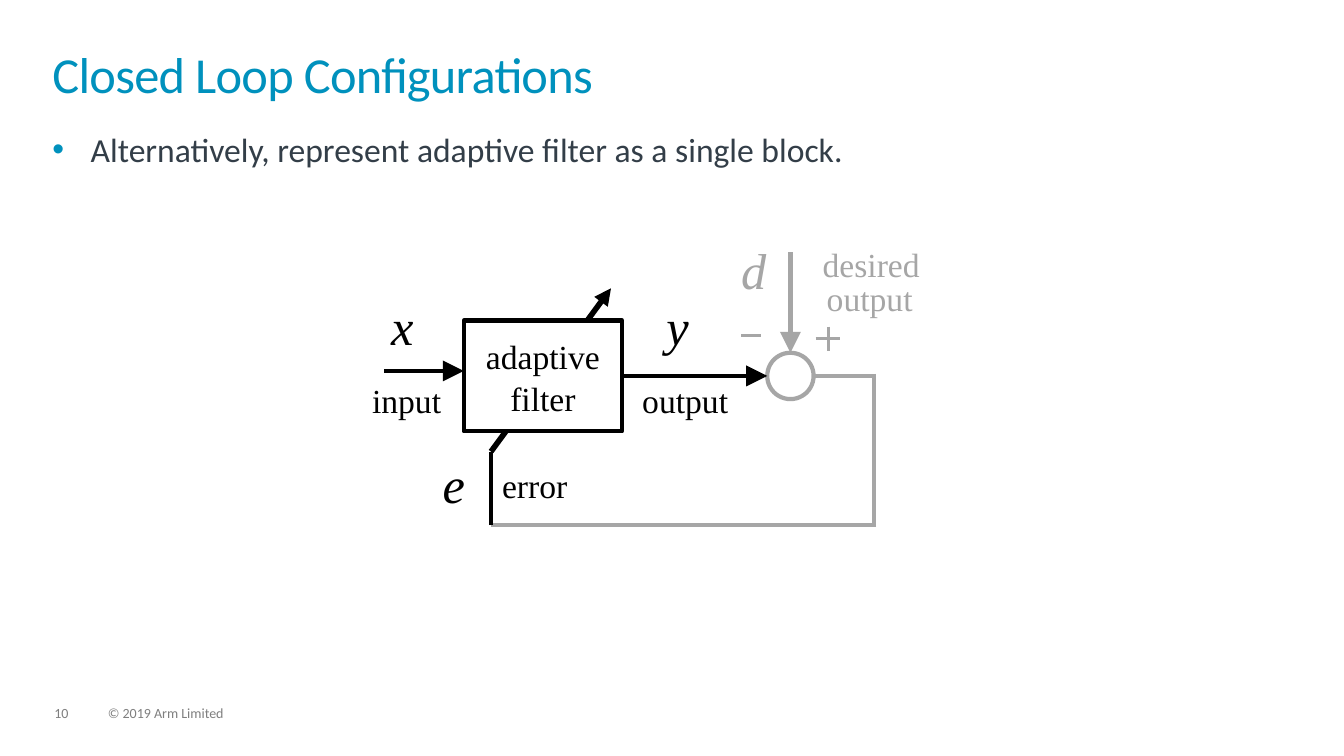
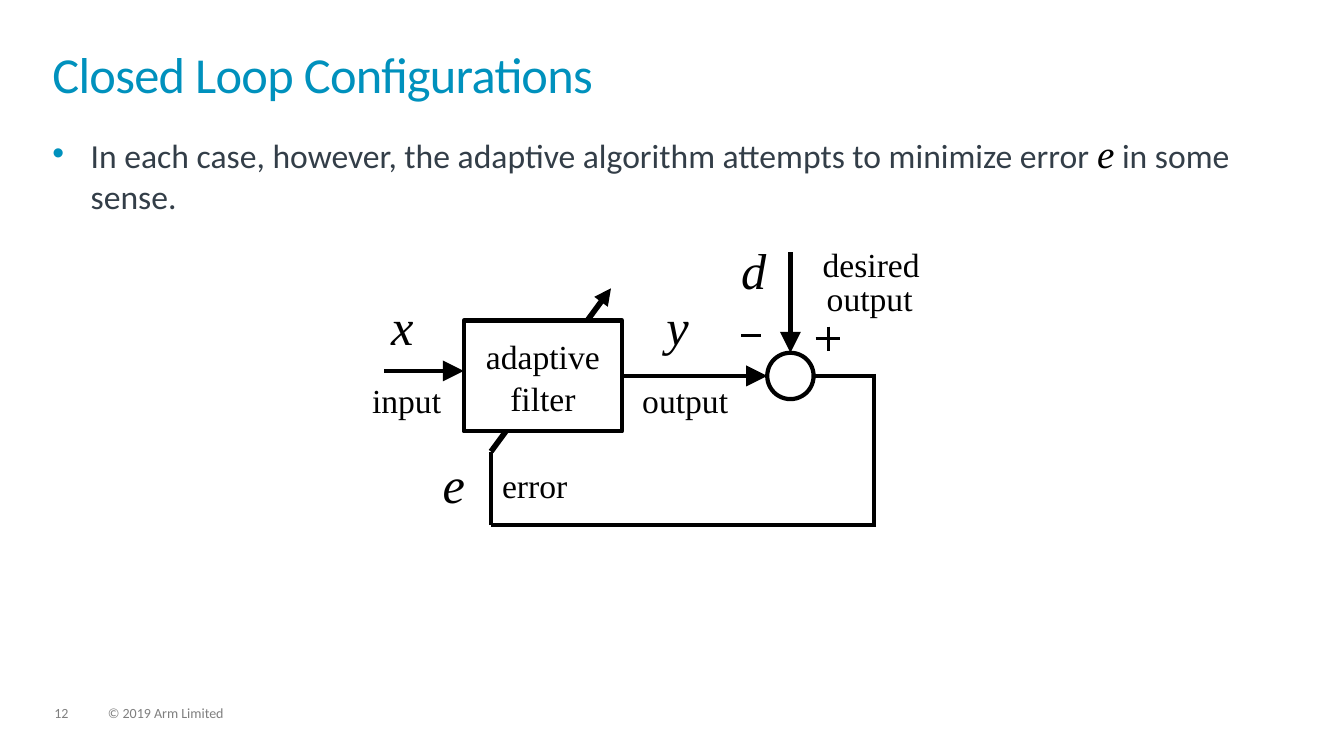
from dataclasses import dataclass

from lxml import etree
from pptx import Presentation
from pptx.dml.color import RGBColor
from pptx.enum.shapes import MSO_CONNECTOR, MSO_SHAPE
from pptx.enum.text import MSO_ANCHOR, MSO_AUTO_SIZE, PP_ALIGN
from pptx.oxml.ns import qn
from pptx.shapes.autoshape import Shape
from pptx.slide import Slide
from pptx.text.text import TextFrame, _Paragraph
from pptx.util import Inches, Pt

LINE = MSO_CONNECTOR.STRAIGHT
RECT, OVAL = MSO_SHAPE.RECTANGLE, MSO_SHAPE.OVAL
TOP, MIDDLE = MSO_ANCHOR.TOP, MSO_ANCHOR.MIDDLE
LEFT, CENTER = PP_ALIGN.LEFT, PP_ALIGN.CENTER
FIXED = MSO_AUTO_SIZE.NONE

BLUE, SLATE, GRAY = "0091BD", "333E48", "7F7F7F"
BLACK, WHITE, PALE = "000000", "FFFFFF", "A6A6A6"
SANS, SERIF = "Calibri", "Times New Roman"
TITLE = "Closed Loop Configurations"
RIGHTS = "© 2019 Arm Limited"


@dataclass(frozen=True)
class Style:
    size: int
    color: str
    face: str = SANS
    slant: bool = False


@dataclass(frozen=True)
class Label:
    text: str
    x: float
    y: float
    width: float
    far: bool = False
    sign: bool = False


@dataclass(frozen=True)
class Wire:
    x1: float
    y1: float
    x2: float
    y2: float
    far: bool = False
    weight: int = 3
    head: str = ""
    start: tuple[str, int] | None = None
    end: tuple[str, int] | None = None


@dataclass(frozen=True)
class Page:
    number: str
    runs: list[tuple[str, Style]]
    tint: str


HEAD = Style(36, BLUE)
BODY = Style(24, SLATE)
FOOT = Style(10, GRAY)
MATH = Style(28, BLACK, SERIF, True)

PAGES = [
    Page("10", [("Alternatively, represent adaptive filter as a single block.", BODY)], PALE),
    Page("12", [
        ("In each case, however, the adaptive algorithm attempts to minimize error ", BODY),
        ("e", MATH),
        (" in some sense.", BODY),
    ], BLACK),
]

LABELS = [
    Label("x", 3.88, 2.93, 0.22, sign=True),
    Label("y", 6.61, 2.93, 0.22, sign=True),
    Label("d", 7.35, 2.37, 0.25, far=True, sign=True),
    Label("e", 4.39, 4.49, 0.22, sign=True),
    Label("error", 4.98, 4.61, 0.65),
    Label("desired", 8.16, 2.42, 0.97, far=True),
    Label("output", 8.2, 2.76, 0.86, far=True),
    Label("output", 6.37, 3.77, 0.86),
    Label("input", 3.69, 3.77, 0.69),
]

SLOPE = Wire(4.87, 4.48, 6.06, 2.86, weight=4, head="med")
WIRES = [
    Wire(3.81, 3.68, 4.6, 3.68, head="lg"),
    Wire(6.17, 3.73, 7.61, 3.73, head="lg", start=("block", 3)),
    Wire(7.84, 2.5, 7.84, 3.5, far=True, head="lg", end=("sum", 0)),
    Wire(8.07, 3.73, 8.67, 3.73, far=True),
    Wire(8.67, 3.71, 8.67, 5.21, far=True),
    Wire(8.69, 5.21, 4.87, 5.21, far=True),
    Wire(4.87, 5.21, 4.87, 4.48),
    Wire(7.35, 3.33, 7.55, 3.33, far=True, weight=2),
    Wire(8.09, 3.36, 8.33, 3.36, far=True, weight=2),
    Wire(8.22, 3.24, 8.22, 3.48, far=True, weight=2),
]


def paint(color: str) -> RGBColor:
    return RGBColor.from_string(color)


def write(para: _Paragraph, text: str, style: Style) -> None:
    run = para.add_run()
    run.text = text
    font = run.font
    font.size, font.name, font.italic = Pt(style.size), style.face, style.slant
    font.color.rgb = paint(style.color)


def clear(frame: TextFrame, wrap: bool = True) -> _Paragraph:
    frame.margin_left = frame.margin_right = 0
    frame.margin_top = frame.margin_bottom = 0
    frame.auto_size, frame.word_wrap = FIXED, wrap
    frame.vertical_anchor = TOP
    para = frame.paragraphs[0]
    para.alignment = LEFT
    return para


def add_text(slide: Slide, x: float, y: float, w: float, h: float,
             wrap: bool = True) -> _Paragraph:
    box = slide.shapes.add_textbox(Inches(x), Inches(y), Inches(w), Inches(h))
    return clear(box.text_frame, wrap)


def add_node(slide: Slide, kind: MSO_SHAPE, x: float, y: float, w: float, h: float,
             color: str) -> Shape:
    node = slide.shapes.add_shape(kind, Inches(x), Inches(y), Inches(w), Inches(h))
    node.shadow.inherit = False
    node.fill.solid()
    node.fill.fore_color.rgb = paint(WHITE)
    node.line.color.rgb = paint(color)
    node.line.width = Pt(3)
    return node


def add_wire(slide: Slide, wire: Wire, tint: str, nodes: dict[str, Shape]) -> None:
    link = slide.shapes.add_connector(
        LINE, Inches(wire.x1), Inches(wire.y1), Inches(wire.x2), Inches(wire.y2))
    link.line.color.rgb = paint(tint if wire.far else BLACK)
    link.line.width = Pt(wire.weight)
    if wire.head:
        etree.SubElement(link.line._get_or_add_ln(), qn("a:tailEnd"),
                         type="triangle", w=wire.head, len=wire.head)
    etree.SubElement(link._element.spPr, qn("a:effectLst"))
    if wire.start:
        name, site = wire.start
        link.begin_connect(nodes[name], site)
    if wire.end:
        name, site = wire.end
        link.end_connect(nodes[name], site)


def add_frame(slide: Slide, page: Page) -> None:
    title = slide.shapes.title
    title.left, title.top = Inches(0.52), Inches(0.52)
    title.width, title.height = Inches(12.28), Inches(0.72)
    para = clear(title.text_frame)
    para.line_spacing = 0.85
    write(para, TITLE, HEAD)
    para.runs[0].font._element.set("spc", "-50")
    for text, x, width in ((page.number, 0.54, 0.34), (RIGHTS, 1.07, 5.07)):
        para = add_text(slide, x, 7.01, width, 0.15)
        para.line_spacing = 0.9
        write(para, text, FOOT)


def add_point(slide: Slide, page: Page) -> None:
    para = add_text(slide, 0.52, 1.28, 12.28, 5.41)
    props = para._p.get_or_add_pPr()
    props.set("marL", str(Inches(0.38)))
    props.set("indent", str(-Inches(0.38)))
    color = etree.SubElement(props, qn("a:buClr"))
    etree.SubElement(color, qn("a:srgbClr"), val=BLUE)
    etree.SubElement(props, qn("a:buFont"), typeface="Arial")
    etree.SubElement(props, qn("a:buChar"), char="•")
    for text, style in page.runs:
        write(para, text, style)


def add_loop(slide: Slide, tint: str) -> None:
    add_wire(slide, SLOPE, tint, {})
    block = add_node(slide, RECT, 4.6, 3.18, 1.57, 1.1, BLACK)
    frame = block.text_frame
    first = clear(frame)
    frame.vertical_anchor = MIDDLE
    for para, text in ((first, "adaptive"), (frame.add_paragraph(), "filter")):
        para.alignment = CENTER
        para.line_spacing = 1.05
        write(para, text, Style(24, BLACK, SERIF))
    nodes = {"block": block, "sum": add_node(slide, OVAL, 7.61, 3.5, 0.46, 0.46, tint)}
    for label in LABELS:
        size, height = (36, 0.61) if label.sign else (24, 0.4)
        para = add_text(slide, label.x, label.y, label.width, height, False)
        write(para, label.text, Style(size, tint if label.far else BLACK, SERIF, label.sign))
    for wire in WIRES:
        add_wire(slide, wire, tint, nodes)


def main() -> None:
    deck = Presentation()
    deck.slide_width, deck.slide_height = Inches(13.33), Inches(7.5)
    for page in PAGES:
        slide = deck.slides.add_slide(deck.slide_layouts[5])
        add_frame(slide, page)
        add_point(slide, page)
        add_loop(slide, page.tint)
    deck.save("out.pptx")


if __name__ == "__main__":
    main()
